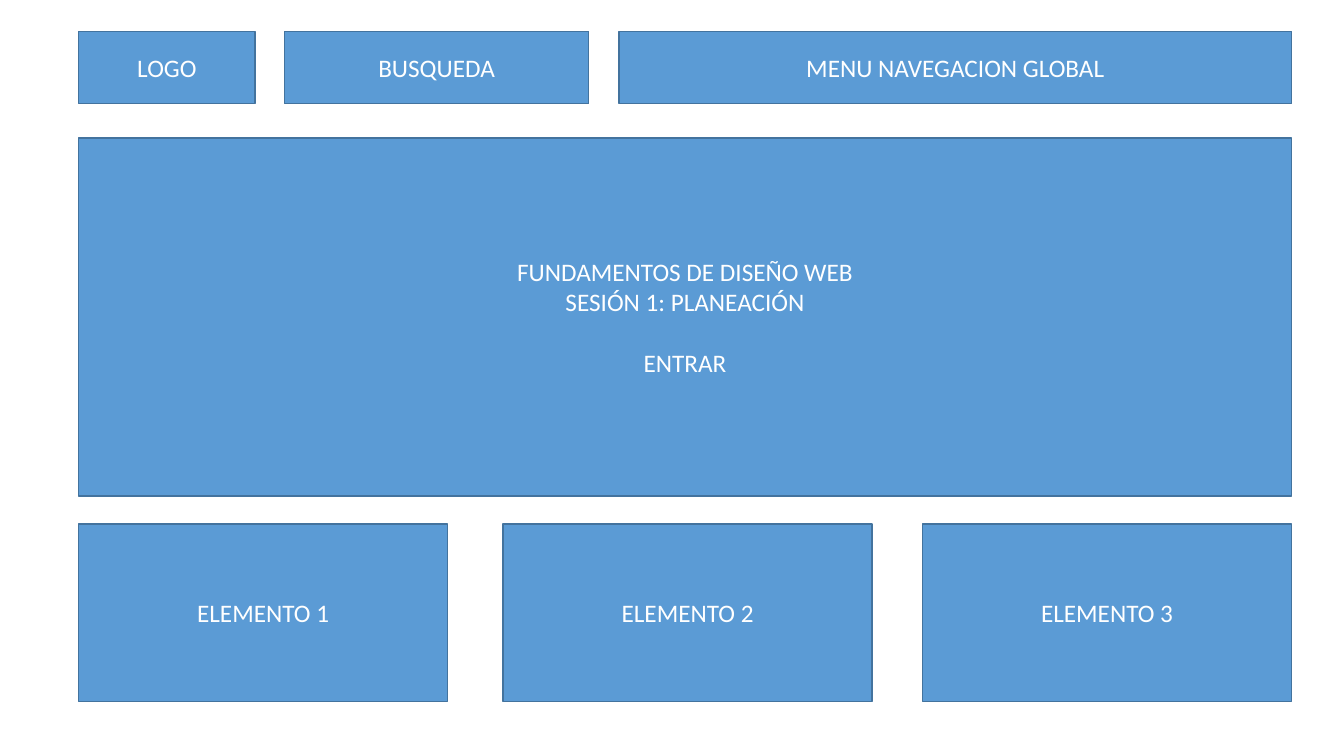
"""Builds a wireframe slide of a web home page: header, hero and three elements."""
from pptx import Presentation
from pptx.dml.color import RGBColor
from pptx.enum.shapes import MSO_SHAPE
from pptx.enum.text import MSO_ANCHOR, PP_ALIGN
from pptx.util import Inches, Pt

RECTANGLE = MSO_SHAPE.RECTANGLE
MIDDLE = MSO_ANCHOR.MIDDLE
CENTER = PP_ALIGN.CENTER
BLUE = RGBColor(0x5B, 0x9B, 0xD5)
DARK_BLUE = RGBColor(0x43, 0x73, 0x9E)
WHITE = RGBColor(0xFF, 0xFF, 0xFF)

LEFT_MARGIN = 0.78
HEADER_TOP, HEADER_HEIGHT = 0.31, 0.72
ELEMENT_TOP, ELEMENT_WIDTH, ELEMENT_HEIGHT = 5.2, 3.66, 1.76

prs = Presentation()
prs.slide_width = Inches(13.33)
prs.slide_height = Inches(7.5)
slide = prs.slides.add_slide(prs.slide_layouts[6])


def add_block(left, top, width, height, *lines):
    block = slide.shapes.add_shape(
        RECTANGLE, Inches(left), Inches(top), Inches(width), Inches(height))
    block.shadow.inherit = False
    block.fill.solid()
    block.fill.fore_color.rgb = BLUE
    block.line.color.rgb = DARK_BLUE
    block.line.width = Pt(1)
    frame = block.text_frame
    frame.word_wrap = True
    frame.vertical_anchor = MIDDLE
    frame.text = "\n".join(lines)
    for paragraph in frame.paragraphs:
        paragraph.alignment = CENTER
        paragraph.font.name = "Calibri"
        paragraph.font.size = Pt(18)
        paragraph.font.color.rgb = WHITE
    return block


for left, width, label in [
    (LEFT_MARGIN, 1.75, "LOGO"),
    (2.82, 3.02, "BUSQUEDA"),
    (6.14, 6.67, "MENU NAVEGACION GLOBAL"),
]:
    add_block(left, HEADER_TOP, width, HEADER_HEIGHT, label)

hero = add_block(LEFT_MARGIN, 1.37, 12.03, 3.55,
                 "FUNDAMENTOS DE DISEÑO WEB", "SESIÓN 1: PLANEACIÓN", "ENTRAR")
hero.text_frame.paragraphs[-1].space_before = Pt(22)

for number, left in enumerate([LEFT_MARGIN, 4.99, 9.15], start=1):
    add_block(left, ELEMENT_TOP, ELEMENT_WIDTH, ELEMENT_HEIGHT, f"ELEMENTO {number}")

prs.save("out.pptx")
